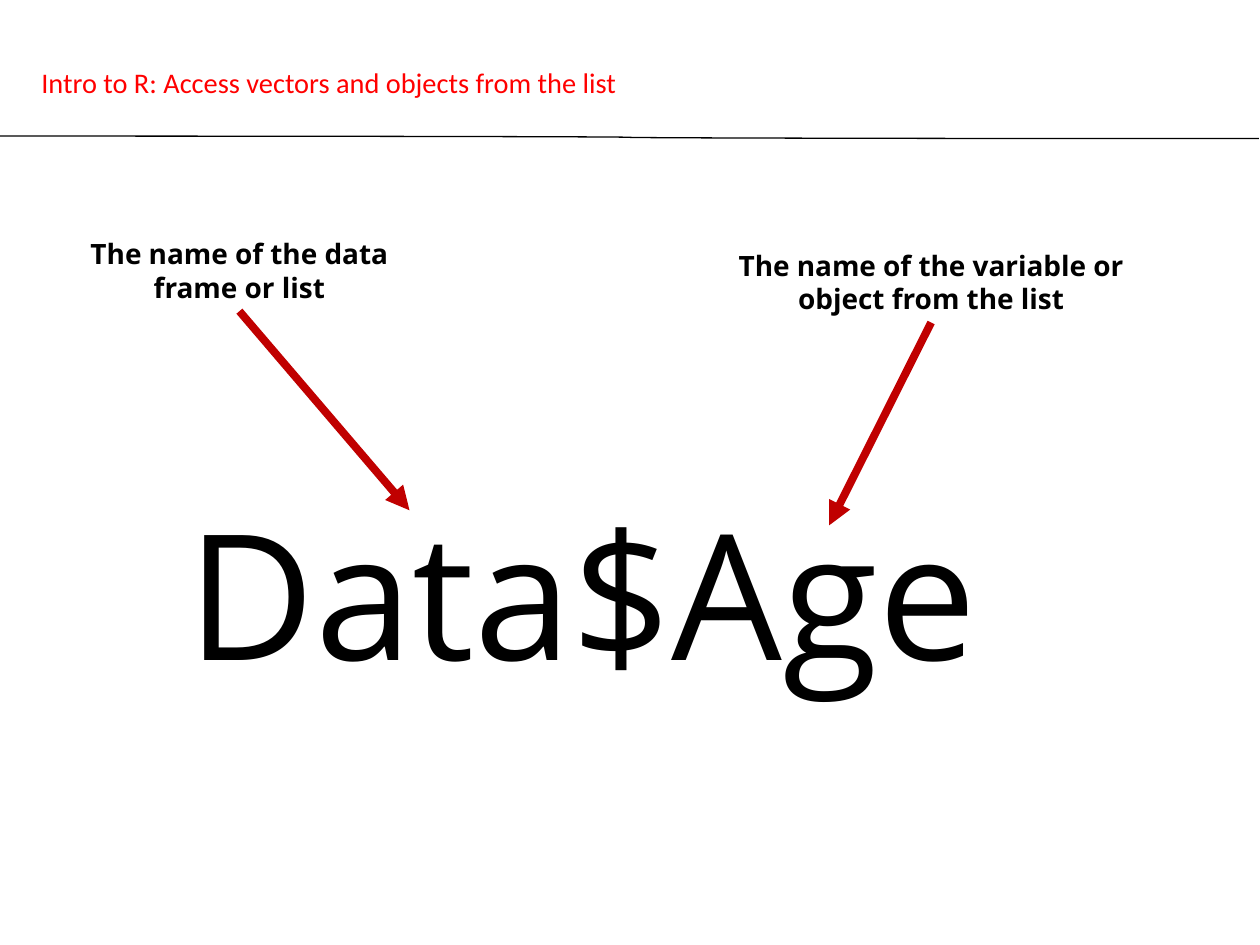
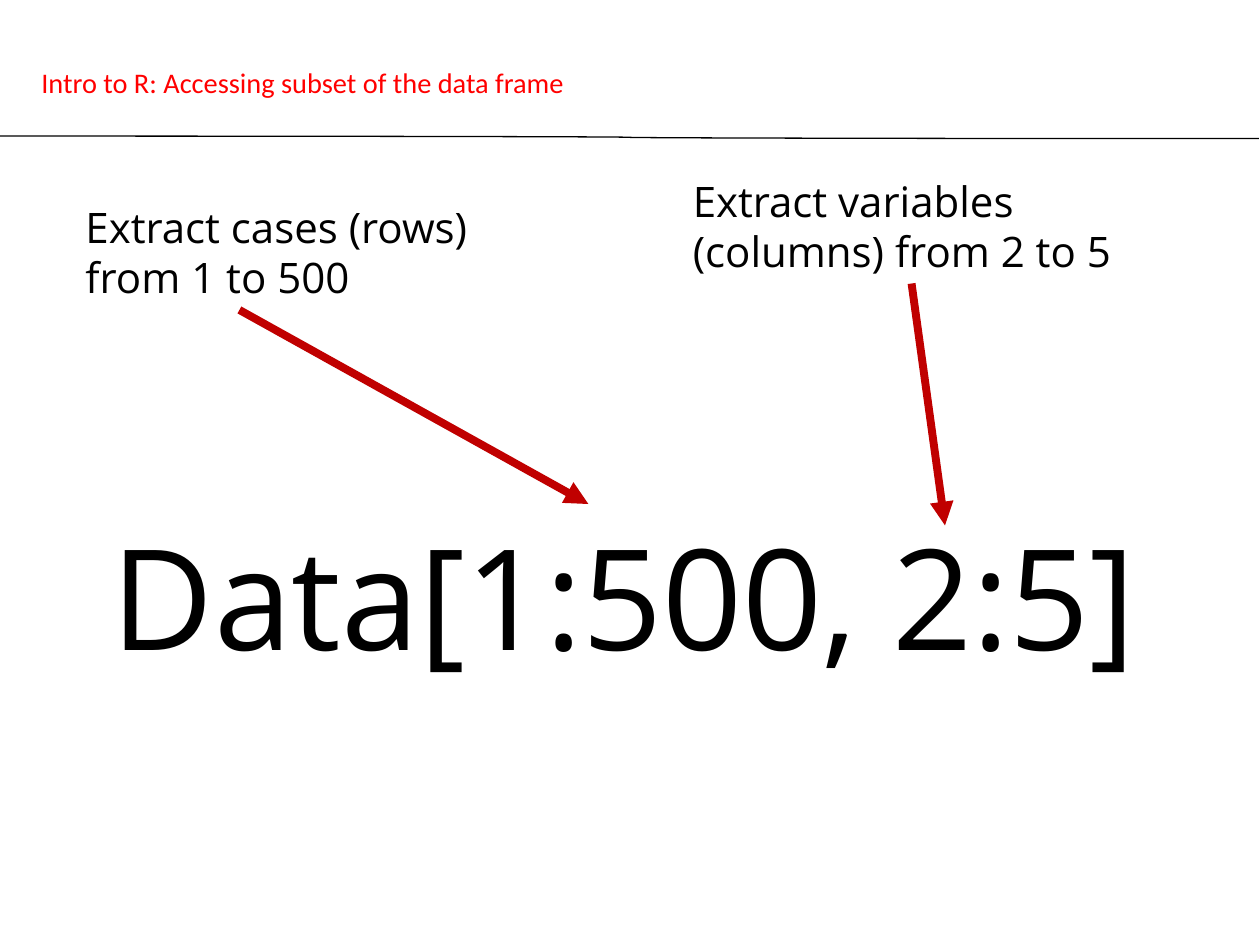
from pptx import Presentation
from pptx.dml.color import RGBColor
from pptx.enum.shapes import MSO_CONNECTOR as Link
from pptx.enum.text import MSO_ANCHOR as Anchor, MSO_AUTO_SIZE as AutoSize, PP_ALIGN as Align
from pptx.oxml.ns import qn
from pptx.util import Inches, Pt
from lxml import etree

COLORS = {"title": "FF0000", "text": "000000", "rule": "000000", "arrow": "C00000"}

# Text formats shared by the slides
TITLE = {"name": "Calibri", "size": Pt(16.2)}
BOLD_LABEL = {"name": "Open Sans", "size": Pt(16), "bold": True}
LARGE_LABEL = {"name": "Open Sans", "size": Pt(24)}
CODE_100 = {"name": "Open Sans", "size": Pt(100)}
CODE_80 = {"name": "Open Sans", "size": Pt(80)}

# Each label: text, box, arrow start (None = middle of the label's bottom), arrow tip
SLIDES = [
    {
        "title": "Intro to R: Access vectors and objects from the list",
        "code": ("Data$Age", (0.58, 3.8, 8.08, 1.78), CODE_100),
        "label_format": BOLD_LABEL,
        "align": Align.CENTER,
        "labels": [
            ("The name of the data frame or list",
             (0.26, 1.83, 3.28, 0.64), None, (3.25, 4.05)),
            ("The name of the variable or object from the list",
             (5.75, 1.92, 3.28, 0.64), None, (6.58, 4.17)),
        ],
    },
    {
        "title": "Intro to R: Accessing subset of the data frame",
        "code": ("Data[1:500, 2:5]", (0.79, 4, 8.42, 1.45), CODE_80),
        "label_format": LARGE_LABEL,
        "align": Align.LEFT,
        "labels": [
            ("Extract cases (rows) from 1 to 500",
             (0.58, 1.55, 3.42, 0.91), (1.9, 2.46), (4.67, 4)),
            ("Extract variables (columns) from 2 to 5",
             (5.4, 1.34, 3.67, 0.91), None, (7.5, 4.17)),
        ],
    },
]


def add_text(slide, text, box, font_format, color="text", align=Align.LEFT):
    textbox = slide.shapes.add_textbox(*map(Inches, box))
    frame = textbox.text_frame
    frame.word_wrap = True
    frame.auto_size = AutoSize.SHAPE_TO_FIT_TEXT
    paragraph = frame.paragraphs[0]
    paragraph.alignment = align
    run = paragraph.add_run()
    run.text = text
    for attribute, value in font_format.items():
        setattr(run.font, attribute, value)
    run.font.color.rgb = RGBColor.from_string(COLORS[color])
    return textbox


def add_line(slide, kind, start, end, color, width):
    connector = slide.shapes.add_connector(kind, *map(Inches, start + end))
    connector.line.color.rgb = RGBColor.from_string(COLORS[color])
    connector.line.width = Pt(width)
    etree.SubElement(connector._element.spPr, qn("a:effectLst"))
    return connector


prs = Presentation()
prs.slide_width, prs.slide_height = Inches(10), Inches(7.5)

for content in SLIDES:
    slide = prs.slides.add_slide(prs.slide_layouts[6])

    # Rule and title
    add_line(slide, Link.CURVE, (0, 1.08), (9.99, 1.1), "rule", 0.75)
    title = add_text(slide, content["title"], (0.23, 0.42, 4.85, 0.5), TITLE, "title")
    title.text_frame.auto_size = AutoSize.NONE
    title.text_frame.vertical_anchor = Anchor.MIDDLE
    title.text_frame.paragraphs[0].line_spacing = 0.9

    # Code expression
    expression, code_box, code_format = content["code"]
    add_text(slide, expression, code_box, code_format, align=content["align"])

    # Labels with arrows to the parts of the expression
    for text, box, start, tip in content["labels"]:
        label = add_text(slide, text, box, content["label_format"], align=content["align"])
        left, top, width, height = box
        bottom_middle = (left + width / 2, top + height)
        arrow = add_line(slide, Link.STRAIGHT, start or bottom_middle, tip, "arrow", 4.5)
        if start is None:
            arrow.begin_connect(label, 2)
        etree.SubElement(arrow.line._get_or_add_ln(), qn("a:tailEnd"), type="triangle")

prs.save("out.pptx")
